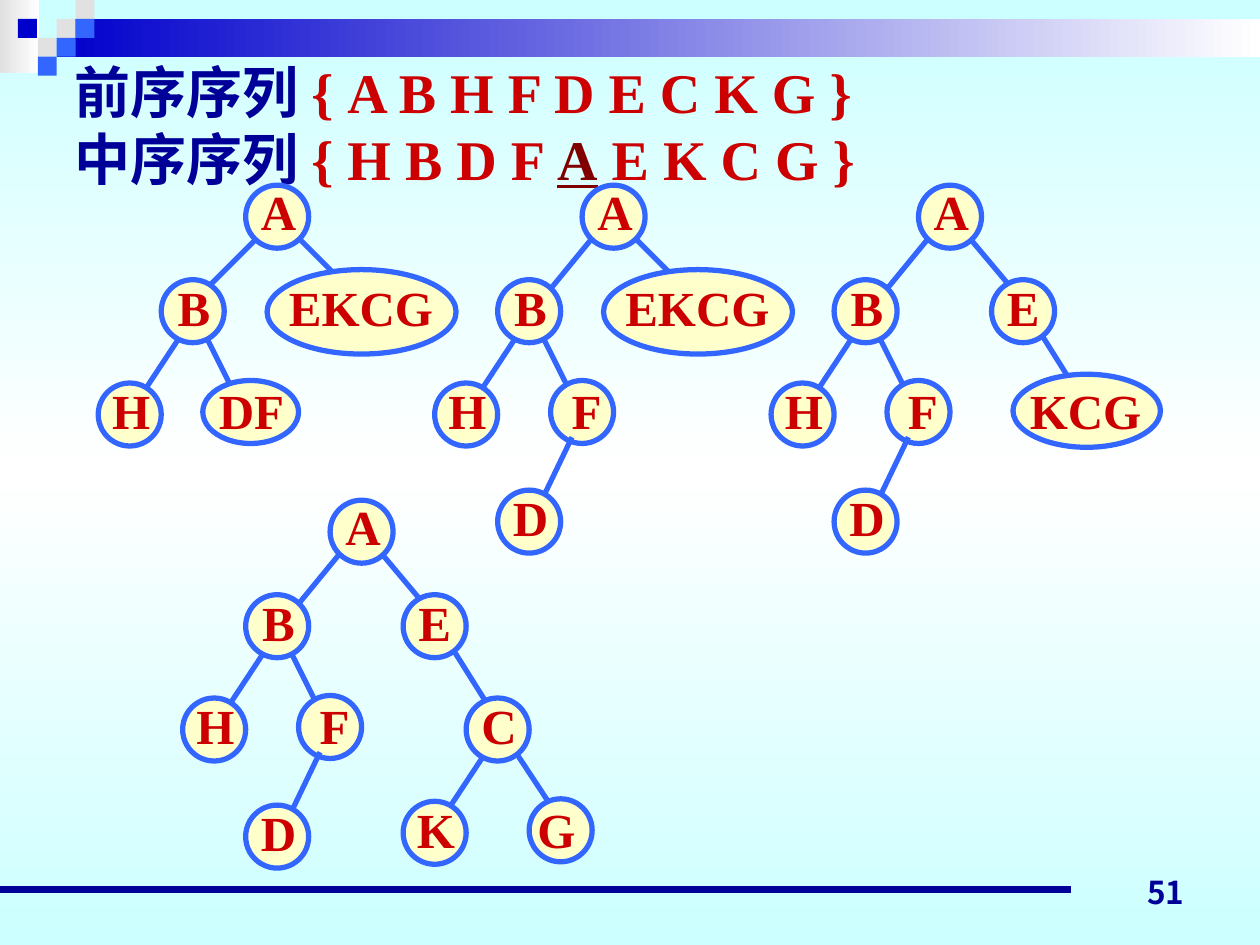
import copy
from dataclasses import dataclass

import pptx
import pptx.dml.color
import pptx.enum.shapes
import pptx.enum.text
import pptx.oxml
import pptx.oxml.ns
import pptx.util

Inches = pptx.util.Inches
SHAPE = pptx.enum.shapes.MSO_SHAPE
ANCHOR = pptx.enum.text.MSO_ANCHOR
ALIGN = pptx.enum.text.PP_ALIGN
FIT = pptx.enum.text.MSO_AUTO_SIZE


@dataclass(frozen=True)
class Theme:
    serif: str = "Times New Roman"
    sans: str = "Noto Sans CJK JP"
    title_size: int = 32
    label_size: int = 28
    number_size: int = 18
    edge_width: float = 3
    rule_width: float = 4.5
    navy: str = "000099"
    royal: str = "0000CC"
    blue: str = "3366FF"
    red: str = "CC0000"
    maroon: str = "800000"
    cream: str = "FFFFCC"
    gray: str = "E1E1E1"
    white: str = "FFFFFF"
    aqua: str = "CCFFFF"


THEME = Theme()
WIDTH, HEIGHT = 10, 7.5
TILE = 0.15
CIRCLE = 0.5
LABEL_HEIGHT = 0.57

# name: ellipse left, top, width, height; label offset x, y, width


NODES = {
    "A": (0, 0, CIRCLE, CIRCLE, 0.02, -0.08, 0.48),
    "B": (-0.67, 0.75, CIRCLE, CIRCLE, 0.03, -0.07, 0.46),
    "E": (0.58, 0.75, CIRCLE, CIRCLE, 0.02, -0.07, 0.46),
    "H": (-1.17, 1.57, CIRCLE, CIRCLE, 0.01, -0.07, 0.5),
    "F": (-0.25, 1.55, CIRCLE, CIRCLE, -0.09, -0.05, 0.75),
    "D": (-0.67, 2.42, CIRCLE, CIRCLE, 0.02, -0.07, 0.48),
    "C": (1.08, 1.57, CIRCLE, CIRCLE, 0.02, -0.07, 0.48),
    "K": (0.58, 2.39, CIRCLE, CIRCLE, 0.01, -0.07, 0.5),
    "G": (1.58, 2.37, CIRCLE, CIRCLE, -0.16, -0.05, 0.75),
    "DF": (-0.34, 1.55, 0.76, CIRCLE, 0.01, -0.05, 0.75),
    "EKCG": (0.17, 0.67, 1.5, 0.67, 0.07, 0.01, 1.35),
    "KCG": (0.75, 1.5, 1.17, 0.58, 0.03, 0, 1.09),
}
EDGES = {
    "A-B": (0.08, 0.42, -0.33, 0.92),
    "A-B wide": (0.09, 0.42, -0.41, 0.92),
    "A-EKCG": (0.42, 0.42, 0.92, 0.92),
    "A-E": (0.33, 0.33, 0.75, 0.83),
    "B-H": (-0.5, 1.17, -0.83, 1.67),
    "B-F": (-0.33, 1.17, -0.08, 1.67),
    "E-C": (0.91, 1.08, 1.33, 1.75),
    "F-D": (-0.08, 2, -0.33, 2.52),
    "C-G": (1.42, 1.92, 1.75, 2.42),
    "C-K": (1.25, 1.98, 0.92, 2.48),
}
LEFT_BRANCH = ["B-F", "B-H", "A-B"]
LAST_LEAF = (["F-D"], ["D"])
TREES = [
    (1.95, 1.47, [(["B-F", "B-H", "A-B wide", "A-EKCG"], ["A", "EKCG", "B", "H", "DF"])]),
    (4.62, 1.47, [(LEFT_BRANCH + ["A-EKCG"], ["A", "EKCG", "B", "H", "F"]), LAST_LEAF]),
    (7.29, 1.47, [(LEFT_BRANCH + ["E-C", "A-E"], ["KCG", "A", "E", "B", "H", "F"]), LAST_LEAF]),
    (2.62, 3.97, [(LEFT_BRANCH + ["E-C", "A-E", "C-G", "C-K"],
                   ["A", "E", "B", "H", "F", "C", "K", "G"]), LAST_LEAF]),
]


def color(value):
    return pptx.dml.color.RGBColor.from_string(value)


def add_span(para, text, size, shade, font=THEME.serif, underline=None):
    span = para.add_run()
    span.text = text
    span.font.name = font
    span.font.size = pptx.util.Pt(size)
    span.font.bold = True
    span.font.underline = underline
    span.font.color.rgb = color(shade)


def set_gradient(fill, start, end):
    fill.gradient()
    fill.gradient_angle = 0
    for stop, shade in zip(fill.gradient_stops, (start, end)):
        stop.color.rgb = color(shade)


def add_shape(shapes, kind, left, top, width, height, fill=None, outline=None):
    shape = shapes.add_shape(kind, *map(Inches, (left, top, width, height)))
    shape.shadow.inherit = False
    if fill:
        shape.fill.solid()
        shape.fill.fore_color.rgb = color(fill)
    if outline:
        shape.line.color.rgb = color(outline)
        shape.line.width = pptx.util.Pt(THEME.edge_width)
    else:
        shape.line.fill.background()
    return shape


def add_line(shapes, start_x, start_y, end_x, end_y, shade, width):
    line = shapes.add_connector(pptx.enum.shapes.MSO_CONNECTOR.STRAIGHT,
                                *map(Inches, (start_x, start_y, end_x, end_y)))
    line.line.color.rgb = color(shade)
    line.line.width = pptx.util.Pt(width)
    properties = line._element.spPr
    properties.append(pptx.oxml.parse_xml(
        f'<a:effectLst {pptx.oxml.ns.nsdecls("a")}/>'))


def add_text(shapes, left, top, width, height, anchor, align):
    box = shapes.add_textbox(*map(Inches, (left, top, width, height)))
    box.text_frame.vertical_anchor = anchor
    box.text_frame.paragraphs[0].alignment = align
    return box.text_frame


def add_background(page):
    fill = page.background.fill
    set_gradient(fill, THEME.aqua, THEME.aqua)
    fill.gradient_angle = 90
    stops = page.element.find(".//" + pptx.oxml.ns.qn("a:gsLst"))
    stops.insert(1, copy.deepcopy(stops[0]))
    for stop, position, shade in zip(fill.gradient_stops, (0, 0.5, 1),
                                     (THEME.aqua, THEME.white, THEME.aqua)):
        stop.position = position
        stop.color.rgb = color(shade)


def add_banner(page):
    shapes = page.shapes.add_group_shape().shapes
    corner = add_shape(shapes, SHAPE.RECTANGLE, 0, 0, 0.31, 0.58)
    set_gradient(corner.fill, THEME.gray, THEME.white)
    bar = add_shape(shapes, SHAPE.RECTANGLE, 3 * TILE, TILE, WIDTH - 3 * TILE, 2 * TILE)
    set_gradient(bar.fill, THEME.royal, THEME.white)
    tiles = [(3, 1, THEME.gray), (4, 0, THEME.gray), (4, 1, THEME.blue), (2, 2, THEME.gray),
             (0.95, 1, THEME.royal), (3, 2, THEME.blue), (2, 3, THEME.blue)]
    for column, row, shade in tiles:
        add_shape(shapes, SHAPE.RECTANGLE, column * TILE, row * TILE, TILE, TILE, shade)


def add_footer(page):
    rule = 7.06
    add_line(page.shapes, 0, rule, 0.85 * WIDTH, rule, THEME.navy, THEME.rule_width)
    frame = add_text(page.shapes, 7.17, 6.78, 2.33, 0.5, ANCHOR.BOTTOM, ALIGN.RIGHT)
    frame.word_wrap = True
    add_span(frame.paragraphs[0], "51", THEME.number_size, THEME.navy, THEME.sans)


def add_title(page):
    title = page.shapes.title
    title.left, title.top, title.width, title.height = map(Inches, (0.49, 0.44, 9, 1.1))
    frame = title.text_frame
    frame.auto_size = FIT.NONE
    frame.vertical_anchor = ANCHOR.MIDDLE
    para = frame.paragraphs[0]
    para.alignment = ALIGN.LEFT
    add_span(para, "前序序列 ", THEME.title_size, THEME.navy)
    add_span(para, "{ A B H F D E C K G }", THEME.title_size, THEME.red)
    para.add_line_break()
    add_span(para, "中序序列 ", THEME.title_size, THEME.navy)
    add_span(para, "{ H B D F ", THEME.title_size, THEME.red)
    add_span(para, "A", THEME.title_size, THEME.maroon, underline=True)
    add_span(para, " E K C G }", THEME.title_size, THEME.red)


def add_node(shapes, left, top, name):
    node_x, node_y, width, height, label_x, label_y, label_width = NODES[name]
    left, top = left + node_x, top + node_y
    add_shape(shapes, SHAPE.OVAL, left, top, width, height, THEME.cream, THEME.blue)
    frame = add_text(shapes, left + label_x, top + label_y, label_width, LABEL_HEIGHT,
                     ANCHOR.MIDDLE, ALIGN.CENTER)
    frame.word_wrap = False
    frame.auto_size = FIT.SHAPE_TO_FIT_TEXT
    add_span(frame.paragraphs[0], name, THEME.label_size, THEME.red)


def add_tree(page, left, top, layers):
    shapes = page.shapes.add_group_shape().shapes
    for edges, nodes in layers:
        for start_x, start_y, end_x, end_y in map(EDGES.get, edges):
            add_line(shapes, left + start_x, top + start_y, left + end_x, top + end_y,
                     THEME.blue, THEME.edge_width)
        for name in nodes:
            add_node(shapes, left, top, name)


def main():
    deck = pptx.Presentation()
    deck.slide_width, deck.slide_height = Inches(WIDTH), Inches(HEIGHT)
    page = deck.slides.add_slide(deck.slide_layouts[5])
    add_background(page)
    add_banner(page)
    add_footer(page)
    add_title(page)
    for left, top, layers in TREES:
        add_tree(page, left, top, layers)
    deck.save("out.pptx")


if __name__ == "__main__":
    main()
